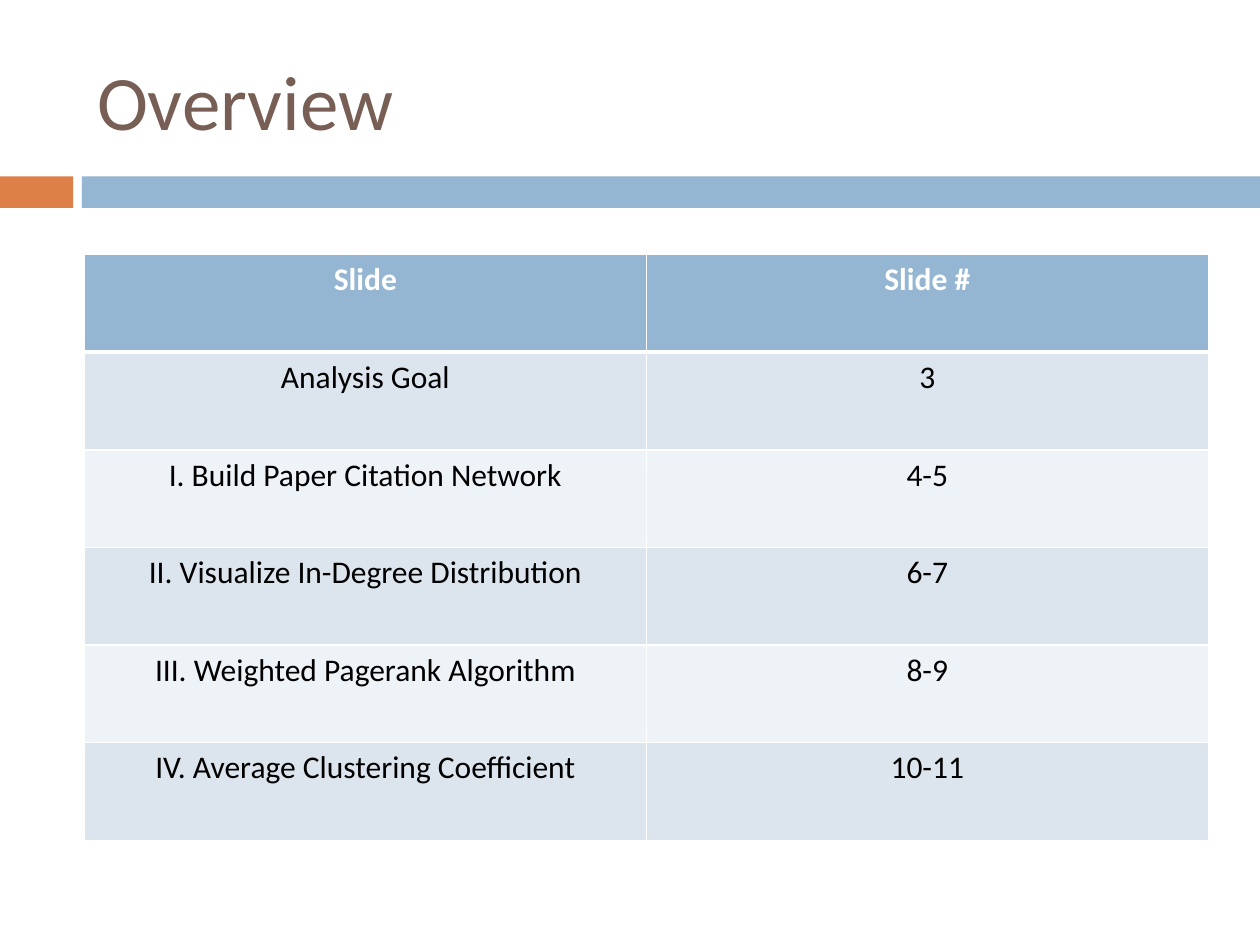
"""Build the overview slide with its table of sections."""
from dataclasses import dataclass

from lxml import etree
from pptx import Presentation
from pptx.dml.color import RGBColor
from pptx.enum import shapes, text
from pptx.oxml import ns
from pptx.util import Inches, Pt

COLORS = {
    "accent": "DD8047",
    "header": "94B6D2",
    "title": "775F55",
    "odd": "DCE5EE",
    "even": "EEF3F7",
    "white": "FFFFFF",
    "black": "000000",
}
FONT = "Calibri"
LEFT, WIDTH = 0.67, 8.92
TABLE_TOP, TABLE_HEIGHT = 2.02, 4.65


@dataclass
class Band:
    left: float
    width: float
    color: str


@dataclass
class Entry:
    section: str
    pages: str


BANDS = [Band(0, 0.58, "accent"), Band(0.65, 9.35, "header")]
ENTRIES = [
    Entry("Slide", "Slide #"),
    Entry("Analysis Goal", "3"),
    Entry("I. Build Paper Citation Network", "4-5"),
    Entry("II. Visualize In-Degree Distribution", "6-7"),
    Entry("III. Weighted Pagerank Algorithm", "8-9"),
    Entry("IV. Average Clustering Coefficient", "10-11"),
]


def rgb(name: str) -> RGBColor:
    return RGBColor.from_string(COLORS[name])


def add_run(paragraph, words: str, size: float, color: str, bold: bool = False) -> None:
    run = paragraph.add_run()
    run.text = words
    run.font.name = FONT
    run.font.size = Pt(size)
    run.font.bold = bold
    run.font.color.rgb = rgb(color)


def draw_band(slide, band: Band) -> None:
    bar = slide.shapes.add_shape(
        shapes.MSO_SHAPE.RECTANGLE,
        Inches(band.left), Inches(1.4), Inches(band.width), Inches(0.25),
    )
    bar.shadow.inherit = False
    bar.fill.solid()
    bar.fill.fore_color.rgb = rgb(band.color)
    bar.line.fill.background()


def write_title(slide, words: str) -> None:
    title = slide.shapes.title
    title.left, title.top = Inches(LEFT), Inches(0.25)
    title.width, title.height = Inches(WIDTH), Inches(1.08)
    title.text_frame.vertical_anchor = text.MSO_ANCHOR.MIDDLE
    heading = title.text_frame.paragraphs[0]
    heading.alignment = text.PP_ALIGN.LEFT
    add_run(heading, words, 44, "title")


def set_borders(cell, bottom: float) -> None:
    properties = cell._tc.get_or_add_tcPr()
    weights = {"lnL": 1, "lnR": 1, "lnT": 1, "lnB": bottom}
    for position, (side, points) in enumerate(weights.items()):
        line = etree.Element(ns.qn(f"a:{side}"), w=str(Pt(points)))
        fill = etree.SubElement(line, ns.qn("a:solidFill"))
        etree.SubElement(fill, ns.qn("a:srgbClr"), val=COLORS["white"])
        properties.insert(position, line)


def fill_cell(cell, words: str, row: int) -> None:
    is_header = row == 0
    cell.fill.solid()
    cell.fill.fore_color.rgb = rgb("header" if is_header else "odd" if row % 2 else "even")
    set_borders(cell, 3 if is_header else 1)
    label = cell.text_frame.paragraphs[0]
    label.alignment = text.PP_ALIGN.CENTER
    add_run(label, words, 18, "white" if is_header else "black", is_header)


def draw_table(slide, entries: list[Entry]) -> None:
    overview = slide.shapes.add_table(
        len(entries), 2,
        Inches(LEFT), Inches(TABLE_TOP), Inches(WIDTH), Inches(TABLE_HEIGHT),
    ).table
    for row, entry in enumerate(entries):
        for column, words in enumerate((entry.section, entry.pages)):
            fill_cell(overview.cell(row, column), words, row)


def main() -> None:
    deck = Presentation()
    deck.slide_width, deck.slide_height = Inches(10), Inches(7.5)
    slide = deck.slides.add_slide(deck.slide_layouts[5])
    for band in BANDS:
        draw_band(slide, band)
    write_title(slide, "Overview")
    draw_table(slide, ENTRIES)
    deck.save("out.pptx")


if __name__ == "__main__":
    main()
